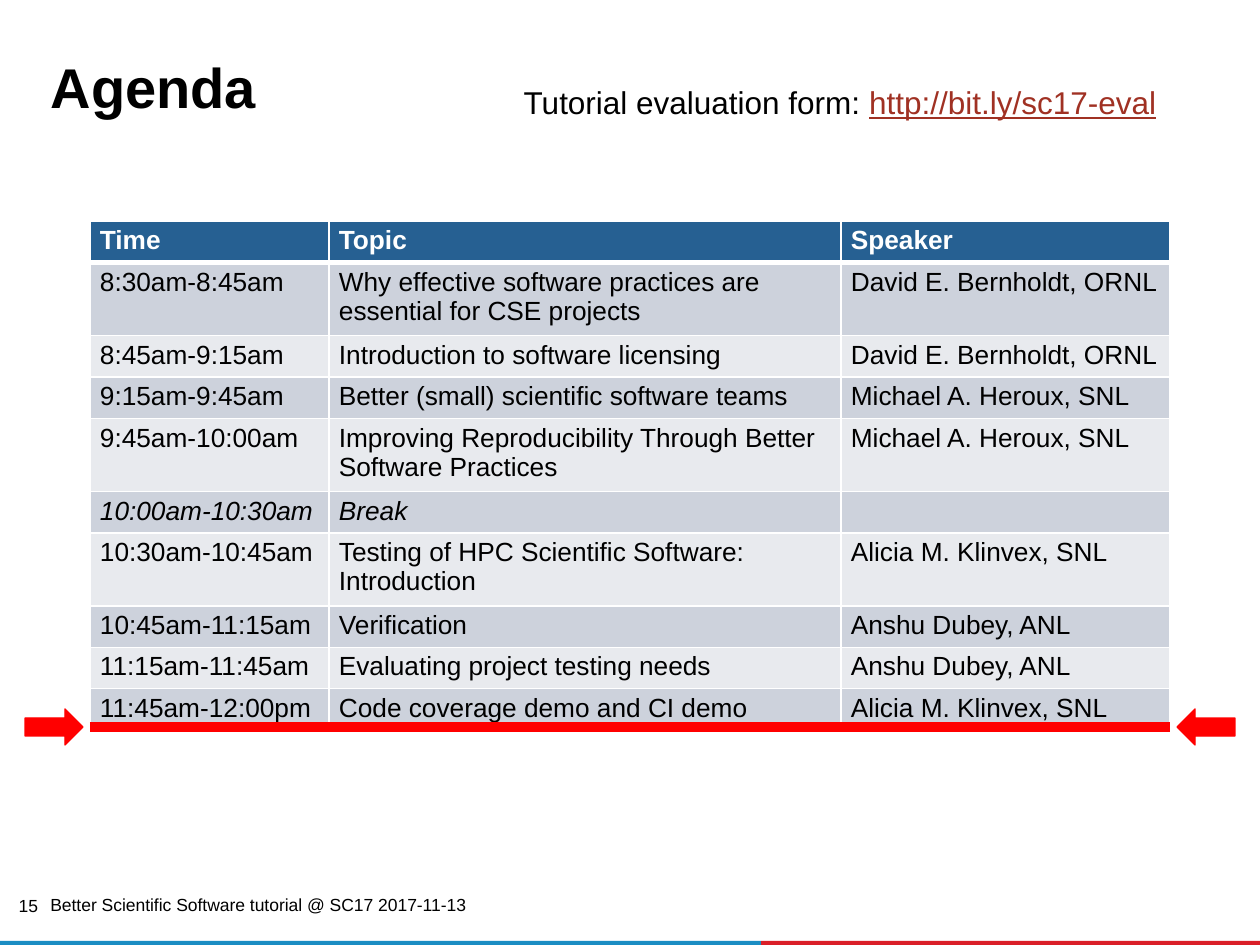
from lxml.etree import SubElement
from pptx import Presentation
from pptx.dml.color import RGBColor
from pptx.enum.shapes import MSO_CONNECTOR, MSO_SHAPE
from pptx.enum.text import MSO_ANCHOR as ANCHOR, PP_ALIGN as ALIGN
from pptx.oxml.ns import qn
from pptx.util import Emu, Pt

SCALE = 914400 / 126
BLACK = RGBColor(0, 0, 0)
WHITE = RGBColor(255, 255, 255)
RED = RGBColor(255, 0, 0)
LINK = RGBColor(0xA0, 0x31, 0x23)
HEADER = RGBColor(0x26, 0x60, 0x92)
BANDS = (RGBColor(0xE8, 0xEA, 0xEE), RGBColor(0xCD, 0xD2, 0xDC))
BAR_BLUE = RGBColor(0x1B, 0x8D, 0xC3)
BAR_RED = RGBColor(0xDA, 0x1F, 0x28)

COLUMNS = (239, 512, 329)
LINE_HEIGHT, TWO_LINE_HEIGHT = 41, 72
TWO_LINE_ROWS = (1, 4, 6)
BREAK_ROW = 5
AGENDA = (
    ("Time", "Topic", "Speaker"),
    ("8:30am-8:45am", "Why effective software practices are essential for CSE projects",
     "David E. Bernholdt, ORNL"),
    ("8:45am-9:15am", "Introduction to software licensing", "David E. Bernholdt, ORNL"),
    ("9:15am-9:45am", "Better (small) scientific software teams", "Michael A. Heroux, SNL"),
    ("9:45am-10:00am", "Improving Reproducibility Through Better Software Practices",
     "Michael A. Heroux, SNL"),
    ("10:00am-10:30am", "Break", ""),
    ("10:30am-10:45am", "Testing of HPC Scientific Software: Introduction",
     "Alicia M. Klinvex, SNL"),
    ("10:45am-11:15am", "Verification", "Anshu Dubey, ANL"),
    ("11:15am-11:45am", "Evaluating project testing needs", "Anshu Dubey, ANL"),
    ("11:45am-12:00pm", "Code coverage demo and CI demo", "Alicia M. Klinvex, SNL"),
)


def px(length):
    return Emu(round(length * SCALE))


def set_all(target, values):
    for name, value in values.items():
        setattr(target, name, value)


def add_run(paragraph, text, size, color=BLACK, **style):
    run = paragraph.add_run()
    run.text = text
    set_all(run.font, {"name": "Arial", "size": Pt(size), **style})
    run.font.color.rgb = color


def add_text(slide, box, runs, frame_format, paragraph_format):
    frame = slide.shapes.add_textbox(*map(px, box)).text_frame
    set_all(frame, frame_format)
    paragraph = frame.paragraphs[0]
    set_all(paragraph, paragraph_format)
    for text, size, style in runs:
        add_run(paragraph, text, size, **style)


def set_title(slide, text, box):
    title = slide.shapes.title
    set_all(title, dict(zip(("left", "top", "width", "height"), map(px, box))))
    set_all(title.text_frame, {"word_wrap": True, "vertical_anchor": ANCHOR.TOP})
    paragraph = title.text_frame.paragraphs[0]
    set_all(paragraph, {"alignment": ALIGN.LEFT, "line_spacing": 0.85})
    add_run(paragraph, text, 32, bold=True)


def add_filled(slide, preset, box, color, rotation=0, outlined=False):
    shape = slide.shapes.add_shape(preset, *map(px, box))
    shape.shadow.inherit = False
    shape.rotation = rotation
    shape.fill.solid()
    shape.fill.fore_color.rgb = color
    if outlined:
        shape.line.color.rgb = color
        shape.line.width = Pt(0.75)
    else:
        shape.line.fill.background()


def add_line(slide, start, end, color, width):
    line = slide.shapes.add_connector(MSO_CONNECTOR.STRAIGHT, *map(px, start + end))
    line.line.color.rgb = color
    line.line.width = Pt(width)
    SubElement(line._element.spPr, qn("a:effectLst"))


def set_borders(cell, widths):
    properties = cell._tc.get_or_add_tcPr()
    for side, width in widths.items():
        border = SubElement(properties, qn(f"a:ln{side}"), w=str(Pt(width)))
        fill = SubElement(border, qn("a:solidFill"))
        SubElement(fill, qn("a:srgbClr"), val=str(WHITE))


def fill_cell(cell, text, row):
    is_header = row == 0
    set_borders(cell, {"L": 1, "R": 1, "T": 3 if row == 1 else 1, "B": 3 if is_header else 1})
    cell.fill.solid()
    cell.fill.fore_color.rgb = HEADER if is_header else BANDS[row % 2]
    set_all(cell, {"margin_left": px(10), "margin_right": px(10),
                   "margin_top": px(5), "margin_bottom": px(5)})
    paragraph = cell.text_frame.paragraphs[0]
    if text:
        add_run(paragraph, text, 15, WHITE if is_header else BLACK,
                bold=is_header, italic=row == BREAK_ROW)
    else:
        SubElement(paragraph._p, qn("a:endParaRPr"), sz="1500")


def add_agenda(slide, left, top):
    heights = [TWO_LINE_HEIGHT if row in TWO_LINE_ROWS else LINE_HEIGHT
               for row in range(len(AGENDA))]
    box = map(px, (left, top, sum(COLUMNS), sum(heights)))
    table = slide.shapes.add_table(len(AGENDA), len(COLUMNS), *box).table
    table.horz_banding = False
    for column, width in zip(table.columns, COLUMNS):
        column.width = px(width)
    for row, (texts, height) in enumerate(zip(AGENDA, heights)):
        table.rows[row].height = px(height)
        for column, text in enumerate(texts):
            fill_cell(table.cell(row, column), text, row)


def add_footer(slide):
    add_filled(slide, MSO_SHAPE.RECTANGLE, (761, 941, 499, 4), BAR_RED)
    add_filled(slide, MSO_SHAPE.RECTANGLE, (0, 941, 761, 4), BAR_BLUE)
    add_text(slide, (38, 891, 444, 27),
             [("Better Scientific Software tutorial @ SC17 2017-11-13", 10, {})],
             {"word_wrap": True, "vertical_anchor": ANCHOR.MIDDLE}, {})
    no_margins = dict.fromkeys(
        ("margin_left", "margin_top", "margin_right", "margin_bottom"), 0)
    add_text(slide, (16, 897, 22, 21), [("15", 10, {})],
             {"word_wrap": True, **no_margins},
             {"alignment": ALIGN.RIGHT, "line_spacing": 0.9})


def add_marker(slide, left, y):
    add_line(slide, (left, y), (left + sum(COLUMNS), y), RED, 6)
    for arrow_left, rotation in ((25, 0), (1177, 180)):
        add_filled(slide, MSO_SHAPE.RIGHT_ARROW, (arrow_left, y - 18, 58, 36),
                   RED, rotation, outlined=True)


def main():
    deck = Presentation()
    set_all(deck, {"slide_width": px(1260), "slide_height": px(945)})
    slide = deck.slides.add_slide(deck.slide_layouts[5])
    table_left = 90
    add_footer(slide)
    set_title(slide, "Agenda", (38, 57, 1176, 70))
    add_agenda(slide, table_left, 221)
    add_marker(slide, table_left, 727)
    add_text(slide, (508, 58, 664, 63),
             [("Tutorial evaluation form: ", 18, {}),
              ("http://bit.ly/sc17-eval", 18, {"color": LINK, "underline": True})],
             {"word_wrap": False}, {"alignment": ALIGN.CENTER, "line_spacing": 1.5})
    deck.save("out.pptx")


if __name__ == "__main__":
    main()
